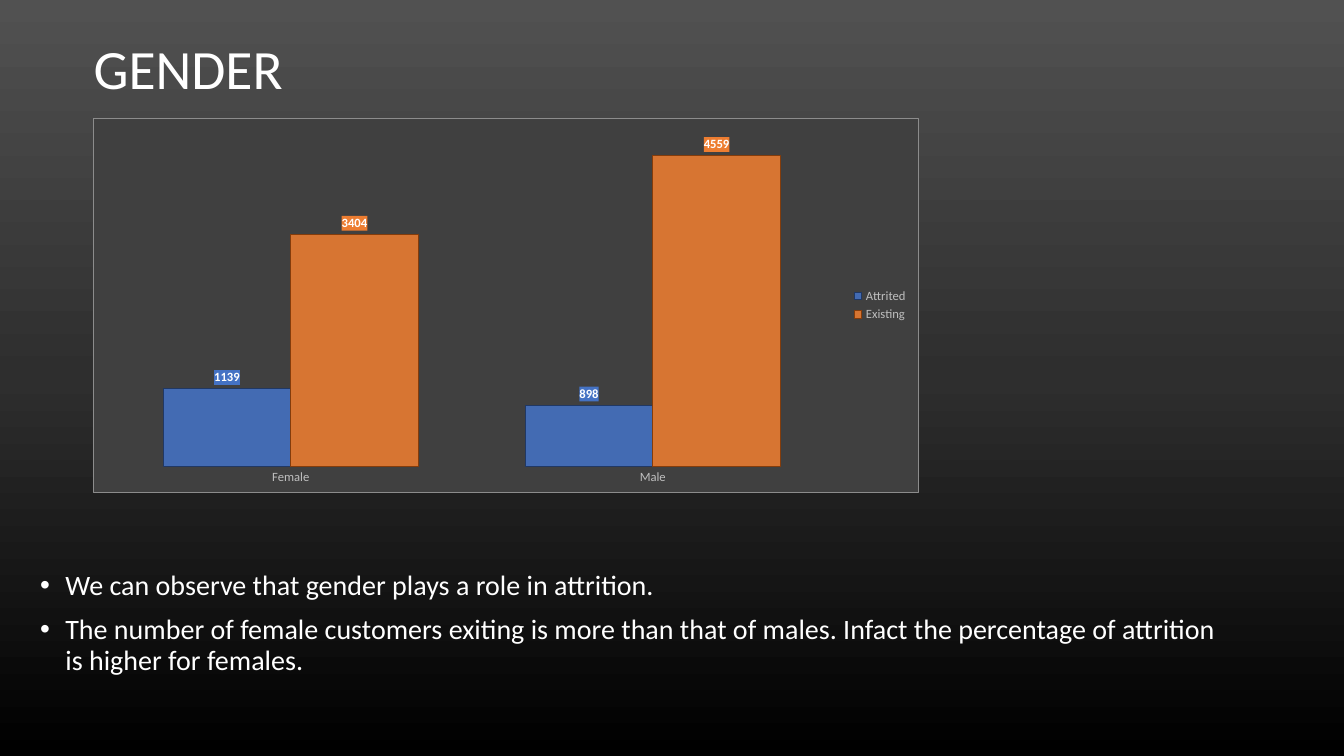
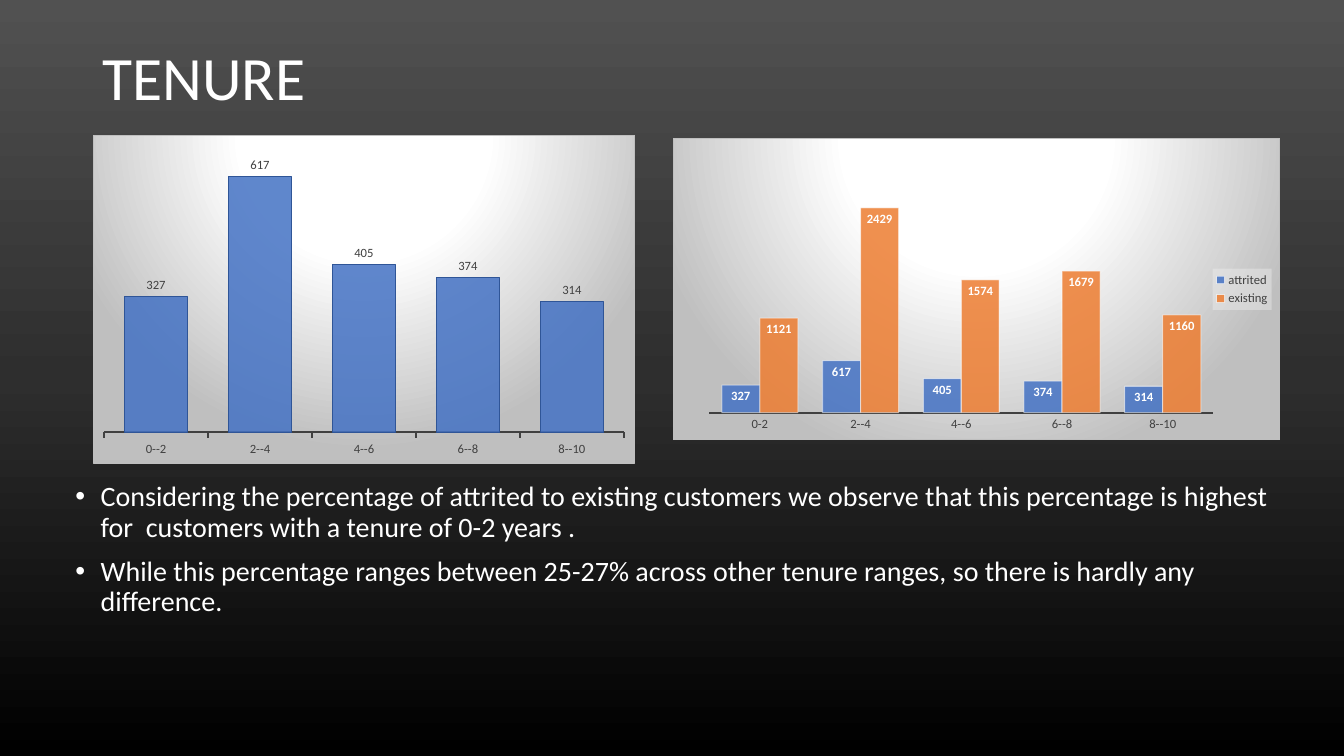
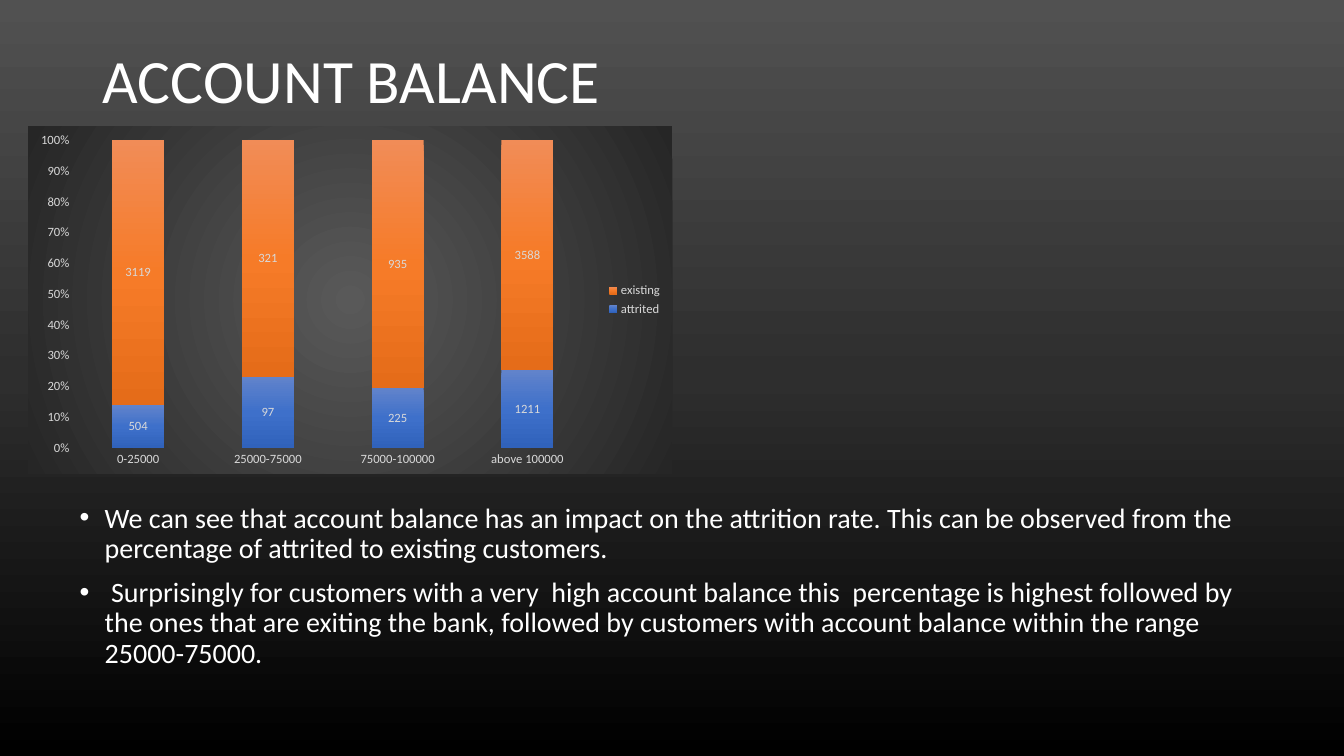
import pptx
import pptx.chart.data
import pptx.dml.color
import pptx.enum.chart
import pptx.enum.text
import pptx.oxml
import pptx.oxml.ns
import pptx.util

Inches = pptx.util.Inches
Pt = pptx.util.Pt
RGBColor = pptx.dml.color.RGBColor
ChartType = pptx.enum.chart.XL_CHART_TYPE
LabelPosition = pptx.enum.chart.XL_LABEL_POSITION
TickMark = pptx.enum.chart.XL_TICK_MARK
Anchor = pptx.enum.text.MSO_ANCHOR

FONT = "Calibri"
WHITE = RGBColor(0xFF, 0xFF, 0xFF)
BLACK = RGBColor(0x00, 0x00, 0x00)
CHARCOAL = RGBColor(0x2E, 0x2E, 0x2E)
TOP_GRAY = RGBColor(0x51, 0x51, 0x51)
DARK_GRAY = RGBColor(0x40, 0x40, 0x40)
BORDER_GRAY = RGBColor(0x8C, 0x8C, 0x8C)
SILVER = RGBColor(0xBF, 0xBF, 0xBF)
LIGHT_GRAY = RGBColor(0xD9, 0xD9, 0xD9)
PALE_GRAY = RGBColor(0xF2, 0xF2, 0xF2)
GLOW_CENTER = RGBColor(0x59, 0x59, 0x59)
GLOW_EDGE = RGBColor(0x26, 0x26, 0x26)
BLUE = RGBColor(0x44, 0x72, 0xC4)
BLUE_LINE = RGBColor(0x2F, 0x55, 0x97)
BLUE_DARK = RGBColor(0x20, 0x38, 0x64)
ORANGE = RGBColor(0xED, 0x7D, 0x31)
ORANGE_DARK = RGBColor(0x84, 0x3C, 0x0B)
BLUE_SHADES = [(0, RGBColor(0x61, 0x83, 0xCB)), (50, RGBColor(0x3E, 0x70, 0xCA)),
               (100, RGBColor(0x30, 0x62, 0xBB))]
ORANGE_SHADES = [(0, RGBColor(0xF1, 0x8C, 0x57)), (50, RGBColor(0xF6, 0x7B, 0x28)),
                 (100, RGBColor(0xE5, 0x6C, 0x19))]


def solid(color, alpha=100):
    return (f'<a:solidFill><a:srgbClr val="{color}"><a:alpha val="{alpha * 1000}"/>'
            "</a:srgbClr></a:solidFill>")


def gradient(stops, focus=None):
    """Top-down gradient, or a circular one around focus (left, top, right, bottom in %)."""
    stop_list = "".join(f'<a:gs pos="{position * 1000}"><a:srgbClr val="{color}"/></a:gs>'
                        for position, color in stops)
    if focus:
        sides = " ".join(f'{side}="{value * 1000}"' for side, value in zip("ltrb", focus))
        course = f'<a:path path="circle"><a:fillToRect {sides}/></a:path>'
    else:
        course = '<a:lin ang="5400000" scaled="0"/>'
    return f'<a:gradFill rotWithShape="1"><a:gsLst>{stop_list}</a:gsLst>{course}</a:gradFill>'


def outline(color, width, alpha=100):
    return f'<a:ln w="{Pt(width)}">{solid(color, alpha)}</a:ln>'


NO_OUTLINE = "<a:ln><a:noFill/></a:ln>"
BACKGROUND = gradient([(0, TOP_GRAY), (50, CHARCOAL), (100, BLACK)])
SPOTLIGHT = (gradient([(0, WHITE), (39, WHITE), (100, SILVER)], (50, -80, 50, 180))
             + outline(SILVER, 0.75))
GLOW = gradient([(0, GLOW_CENTER), (100, GLOW_EDGE)], (50, 50, 50, 50)) + NO_OUTLINE
SOFT_EDGE = outline(WHITE, 0.75, 50)

TENURE_ATTRITED = [327, 617, 405, 374, 314]

SLIDES = [
    {
        "title": ("GENDER", 39.6, (0.83, 0.4, 11.59, 0.62)),
        "body_at": (0.3, 5.62, 11.96, 1.69),
        "bullets": [
            "We can observe that gender plays a role in attrition.",
            "The number of female customers exiting is more than that of males. "
            "Infact the percentage of attrition is higher for females.",
        ],
        "charts": [{
            "at": (0.92, 1.17, 8.19, 3.72),
            "categories": ["Female", "Male"],
            "series": [
                ("Attrited", [1139, 898], solid(BLUE, 88) + outline(BLUE_DARK, 0.75)),
                ("Existing", [3404, 4559], solid(ORANGE, 88) + outline(ORANGE_DARK, 0.75)),
            ],
            "panel": solid(DARK_GRAY) + outline(BORDER_GRAY, 0.5),
            "text_color": SILVER, "gap": 84, "maximum": 5000, "legend": True,
            "label_color": WHITE, "label_bold": True,
            "label_fills": [solid(BLUE), solid(ORANGE)],
        }],
    },
    {
        "title": ("TENURE", 44, (0.92, 0.4, 10.85, 0.8)),
        "body_at": (0.65, 4.74, 12.26, 2.02),
        "bullets": [
            "Considering the percentage of attrited to existing customers we observe that "
            "this percentage is highest for  customers with a tenure of 0-2 years .",
            "While this percentage ranges between 25-27% across other tenure ranges, "
            "so there is hardly any difference.",
        ],
        "charts": [{
            "at": (0.92, 1.34, 5.38, 3.26),
            "categories": ["0--2", "2--4", "4--6", "6--8", "8--10"],
            "series": [("Series 1", TENURE_ATTRITED,
                        solid(BLUE, 85) + outline(BLUE_LINE, 0.75))],
            "panel": SPOTLIGHT, "text_color": DARK_GRAY, "gap": 65, "maximum": 700,
            "axis_line": DARK_GRAY, "tick": TickMark.OUTSIDE,
        }, {
            "at": (6.67, 1.37, 6.03, 3),
            "categories": ["0-2", "2--4", "4--6", "6--8", "8--10"],
            "series": [
                ("attrited", TENURE_ATTRITED, solid(BLUE, 85) + SOFT_EDGE),
                ("existing", [1121, 2429, 1574, 1679, 1160], solid(ORANGE, 85) + SOFT_EDGE),
            ],
            "panel": SPOTLIGHT, "text_color": DARK_GRAY, "gap": 65, "maximum": 3000,
            "axis_line": DARK_GRAY, "legend": True, "legend_fill": solid(PALE_GRAY, 39),
            "label_color": WHITE, "label_bold": True,
            "label_position": LabelPosition.INSIDE_END,
            "plot_area": (0.06, 0.07, 0.83, 0.84),
        }],
    },
    {
        "title": ("ACCOUNT BALANCE", 44, (0.92, 0.4, 11.14, 0.85)),
        "body_at": (0.69, 4.95, 11.72, 1.85),
        "bullets": [
            "We can see that account balance has an impact on the attrition rate. "
            "This can be observed from the percentage of attrited to existing customers.",
            " Surprisingly for customers with a very  high account balance this  percentage "
            "is highest followed by the ones that are exiting the bank, followed by customers "
            "with account balance within the range 25000-75000.",
        ],
        "charts": [{
            "at": (0.28, 1.25, 6.39, 3.45),
            "type": ChartType.COLUMN_STACKED_100,
            "categories": ["0-25000", "25000-75000", "75000-100000", "above 100000"],
            "series": [
                ("attrited", [504, 97, 225, 1211], gradient(BLUE_SHADES) + NO_OUTLINE),
                ("existing", [3119, 321, 935, 3588], gradient(ORANGE_SHADES) + NO_OUTLINE),
            ],
            "panel": GLOW, "text_color": LIGHT_GRAY, "gap": 150, "overlap": 100,
            "legend": True, "label_position": LabelPosition.CENTER,
        }],
    },
]


def properties(content):
    """Wrap fill and line XML in a chart's shape-properties element."""
    namespaces = pptx.oxml.ns.nsdecls("c", "a")
    return pptx.oxml.parse_xml(f"<c:spPr {namespaces}>{content}</c:spPr>")


def set_font(font, size, color, bold=False):
    font.name = FONT
    font.size = Pt(size)
    font.bold = bold
    font.color.rgb = color


def set_background(master):
    master.background.fill.solid()
    holder = master.element.xpath("p:cSld/p:bg/p:bgPr")[0]
    holder.replace(holder[0], properties(BACKGROUND)[0])


def add_bullet(para):
    settings = para._p.get_or_add_pPr()
    settings.set("marL", str(Inches(0.25)))
    settings.set("indent", str(-Inches(0.25)))
    namespace = pptx.oxml.ns.nsdecls("a")
    settings.append(pptx.oxml.parse_xml(f'<a:buFont {namespace} typeface="Arial"/>'))
    settings.append(pptx.oxml.parse_xml(f'<a:buChar {namespace} char="•"/>'))


def add_text(page, at, lines, size=20, anchor=Anchor.TOP, bullets=False):
    frame = page.shapes.add_textbox(*map(Inches, at)).text_frame
    frame.word_wrap = True
    frame.vertical_anchor = anchor
    for index, line in enumerate(lines):
        para = frame.add_paragraph() if index else frame.paragraphs[0]
        para.line_spacing = 0.9
        if index:
            para.space_before = Pt(10)
        if bullets:
            add_bullet(para)
        span = para.add_run()
        span.text = line
        set_font(span.font, size, WHITE)


def set_plot_area(chart, fractions):
    """Fix the inner plot area as left, top, width, height fractions of the chart."""
    area = chart.element.xpath("c:chart/c:plotArea")[0]
    for old_layout in area.xpath("c:layout"):
        area.remove(old_layout)
    sizes = "".join(f'<c:{tag} val="{value}"/>' for tag, value in zip("xywh", fractions))
    area.insert(0, pptx.oxml.parse_xml(
        f'<c:layout {pptx.oxml.ns.nsdecls("c")}><c:manualLayout>'
        '<c:layoutTarget val="inner"/><c:xMode val="edge"/><c:yMode val="edge"/>'
        f"{sizes}</c:manualLayout></c:layout>"))


def style_axes(chart, spec_map):
    category_axis, value_axis = chart.category_axis, chart.value_axis
    for axis in (category_axis, value_axis):
        axis.has_major_gridlines = False
        axis.major_tick_mark = axis.minor_tick_mark = TickMark.NONE
        axis.format.line.fill.background()
        set_font(axis.tick_labels.font, 9, spec_map["text_color"])
    category_axis.major_tick_mark = spec_map.get("tick", TickMark.NONE)
    if "axis_line" in spec_map:
        category_axis.format.line.color.rgb = spec_map["axis_line"]
        category_axis.format.line.width = Pt(1.5)
    value_axis.minimum_scale = 0
    if "maximum" in spec_map:
        value_axis.maximum_scale = spec_map["maximum"]
        value_axis.visible = False
    else:
        value_axis.tick_labels.number_format = "0%"
        value_axis.tick_labels.number_format_is_linked = False


def style_series(chart, spec_map):
    plot = chart.plots[0]
    plot.vary_by_categories = False
    plot.gap_width = spec_map["gap"]
    plot.overlap = spec_map.get("overlap", 0)
    elements = chart.element.xpath(".//c:ser")
    label_fills = spec_map.get("label_fills", [None] * len(elements))
    for series, element, (_, _, look), label_fill in zip(
            plot.series, elements, spec_map["series"], label_fills):
        element.xpath("c:tx")[0].addnext(properties(look))
        labels = series.data_labels
        labels.show_value = True
        labels.position = spec_map.get("label_position", LabelPosition.OUTSIDE_END)
        set_font(labels.font, 9, spec_map.get("label_color", spec_map["text_color"]),
                 spec_map.get("label_bold", False))
        if label_fill:
            element.xpath("c:dLbls/c:txPr")[0].addprevious(properties(label_fill))


def style_legend(chart, spec_map):
    chart.has_legend = spec_map.get("legend", False)
    if not chart.has_legend:
        return
    chart.legend.position = pptx.enum.chart.XL_LEGEND_POSITION.RIGHT
    chart.legend.include_in_layout = False
    set_font(chart.legend.font, 9, spec_map["text_color"])
    if "legend_fill" in spec_map:
        text_settings = chart.element.xpath("c:chart/c:legend/c:txPr")[0]
        text_settings.addprevious(properties(spec_map["legend_fill"]))


def add_column_chart(page, spec_map):
    data = pptx.chart.data.CategoryChartData()
    data.categories = spec_map["categories"]
    for name, values, _ in spec_map["series"]:
        data.add_series(name, values)
    chart = page.shapes.add_chart(spec_map.get("type", ChartType.COLUMN_CLUSTERED),
                                  *map(Inches, spec_map["at"]), data).chart
    chart.has_title = False
    set_font(chart.font, 10, WHITE)
    chart.element.xpath("c:chart")[0].addnext(properties(spec_map["panel"]))
    style_axes(chart, spec_map)
    style_series(chart, spec_map)
    style_legend(chart, spec_map)
    if "plot_area" in spec_map:
        set_plot_area(chart, spec_map["plot_area"])


def main():
    deck = pptx.Presentation()
    deck.slide_width, deck.slide_height = Inches(13.33), Inches(7.5)
    set_background(deck.slide_master)
    for content in SLIDES:
        page = deck.slides.add_slide(deck.slide_layouts[6])
        title, title_size, title_at = content["title"]
        add_text(page, title_at, [title], size=title_size, anchor=Anchor.MIDDLE)
        add_text(page, content["body_at"], content["bullets"], bullets=True)
        for chart_content in content["charts"]:
            add_column_chart(page, chart_content)
    deck.save("out.pptx")


if __name__ == "__main__":
    main()
